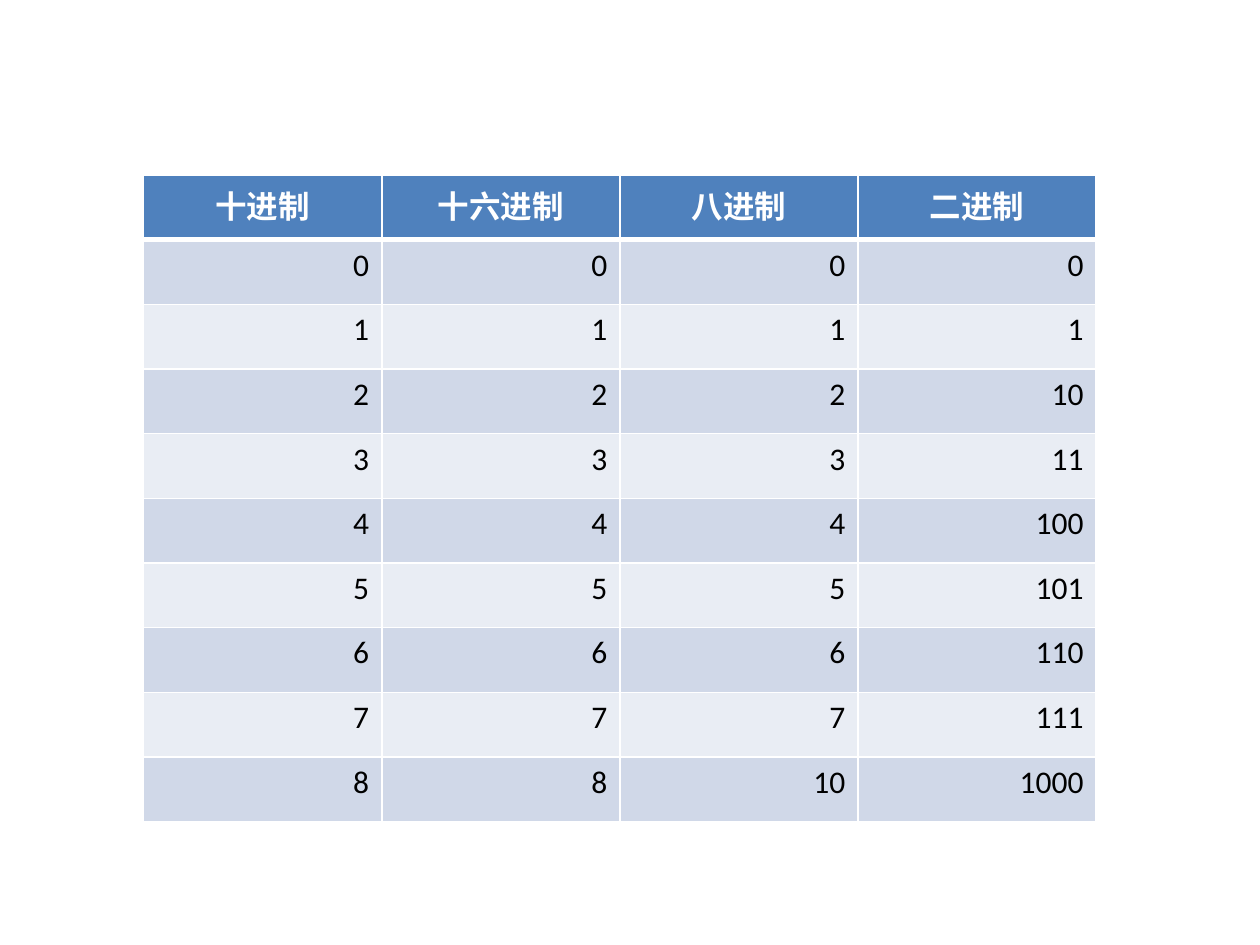
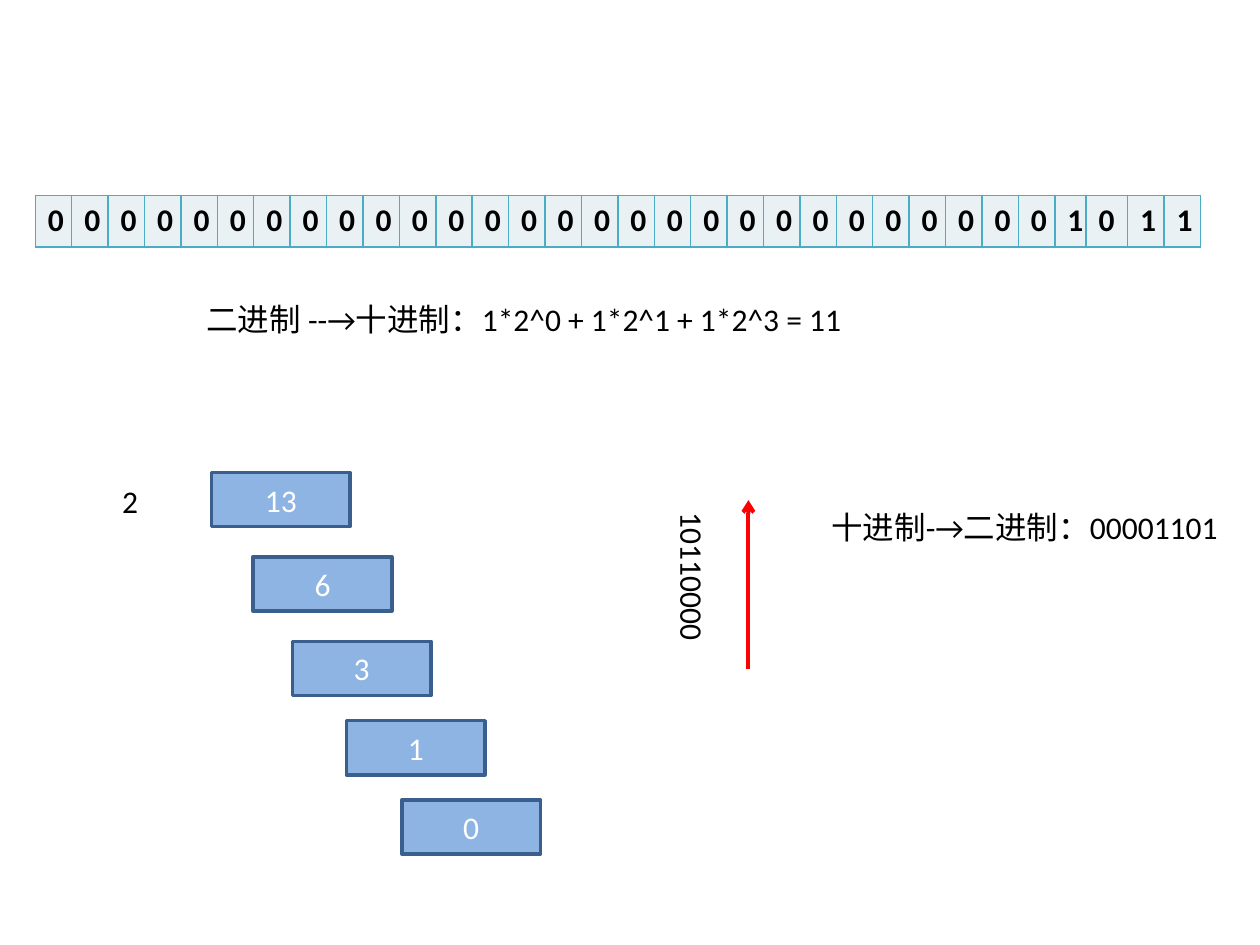
from dataclasses import dataclass

from lxml import etree
from pptx import Presentation
from pptx import util as u
from pptx.dml.color import RGBColor
from pptx.enum import shapes, text
from pptx.oxml import ns


@dataclass(frozen=True)
class Theme:
    """Colours and type shared by the slides."""
    font: str = "Calibri"
    size: int = 18
    ink: str = "000000"
    white: str = "FFFFFF"
    header: str = "4F81BD"
    bands: tuple = ("D0D8E8", "E9EDF4")
    bit_fill: str = "E9F1F5"
    bit_border: str = "4BACC6"
    quotient_fill: str = "8EB4E3"
    quotient_line: str = "3A5F8C"
    arrow: str = "FF0000"


THEME = Theme()
ALIGN = text.PP_ALIGN


def color(value):
    """Turn a hex string into a colour."""
    return RGBColor.from_string(value)


def write(frame, content, ink=THEME.ink, align=ALIGN.LEFT, bold=False):
    """Write one paragraph in the theme's type."""
    paragraph = frame.paragraphs[0]
    paragraph.text = content
    paragraph.alignment = align
    paragraph.font.name = THEME.font
    paragraph.font.size = u.Pt(THEME.size)
    paragraph.font.color.rgb = color(ink)
    paragraph.font.bold = bold


def style_cell(cell, fill, border, top=1, bottom=1):
    """Draw the four borders of a cell, then fill it."""
    properties = cell._tc.get_or_add_tcPr()
    for side, width in zip("LRTB", (1, 1, top, bottom)):
        line = etree.SubElement(properties, ns.qn(f"a:ln{side}"), w=str(u.Pt(width)))
        solid = etree.SubElement(line, ns.qn("a:solidFill"))
        etree.SubElement(solid, ns.qn("a:srgbClr"), val=border)
    cell.fill.solid()
    cell.fill.fore_color.rgb = color(fill)


def add_grid(slide, rows, columns, left, top, width, height):
    """Add a table with equal rows and columns and no banding."""
    table = slide.shapes.add_table(rows, columns, u.Inches(left), u.Inches(top),
                                   u.Inches(width), u.Inches(height)).table
    table.first_row = table.horz_banding = False
    for column in table.columns:
        column.width = u.Inches(width / columns)
    for row in table.rows:
        row.height = u.Inches(height / rows)
    return table


def add_label(slide, content, left, top, width, height, vertical=False):
    """Add a text box that grows with its text."""
    box = slide.shapes.add_textbox(u.Inches(left), u.Inches(top),
                                   u.Inches(width), u.Inches(height))
    box.text_frame.word_wrap = True
    box.text_frame.auto_size = text.MSO_AUTO_SIZE.SHAPE_TO_FIT_TEXT
    if vertical:
        box.element.txBody.bodyPr.set("vert", "eaVert")
    write(box.text_frame, content)


def add_number_table(slide, left, top, width, height):
    """List the numbers 0 to 8 in four bases."""
    headings = ("十进制", "十六进制", "八进制", "二进制")
    numbers = range(9)
    table = add_grid(slide, len(numbers) + 1, len(headings), left, top, width, height)
    table.first_row = True
    for column, heading in enumerate(headings):
        cell = table.cell(0, column)
        style_cell(cell, THEME.header, THEME.white, bottom=3)
        write(cell.text_frame, heading, THEME.white, ALIGN.CENTER, True)
    for number in numbers:
        for column, base in enumerate("dXob"):
            cell = table.cell(number + 1, column)
            style_cell(cell, THEME.bands[number % 2], THEME.white,
                       top=3 if number == 0 else 1)
            write(cell.text_frame, format(number, base), align=ALIGN.RIGHT)


def add_bit_row(slide, value, left, top, width, height):
    """Show a value as 32 bits."""
    bits = format(value, "032b")
    table = add_grid(slide, 1, len(bits), left, top, width, height)
    table.columns[28].width -= u.Inches(0.04)
    table.columns[29].width += u.Inches(0.04)
    for column, bit in enumerate(bits):
        cell = table.cell(0, column)
        style_cell(cell, THEME.bit_fill, THEME.bit_border)
        write(cell.text_frame, bit, bold=True)


def add_division_steps(slide, left, top):
    """Step down through the quotients of repeated division by two."""
    add_label(slide, "2", left, top + 0.03, 0.39, 0.4)
    offsets = ((0.81, 0), (1.14, 0.67), (1.45, 1.34), (1.88, 1.97), (2.32, 2.6))
    quotient = 13
    for across, down in offsets:
        box = slide.shapes.add_shape(
            shapes.MSO_SHAPE.RECTANGLE, u.Inches(left + across),
            u.Inches(top + down), u.Inches(1.1), u.Inches(0.43))
        box.shadow.inherit = False
        box.fill.solid()
        box.fill.fore_color.rgb = color(THEME.quotient_fill)
        box.line.color.rgb = color(THEME.quotient_line)
        box.line.width = u.Pt(2)
        box.text_frame.vertical_anchor = text.MSO_ANCHOR.MIDDLE
        write(box.text_frame, str(quotient), THEME.white, ALIGN.CENTER)
        quotient //= 2


def add_remainders(slide, left, top):
    """Show the remainders, the upward reading arrow and the result."""
    add_label(slide, "10110000", left, top, 0.5, 3.01, vertical=True)
    x = u.Inches(left + 0.74)
    arrow = slide.shapes.add_connector(shapes.MSO_CONNECTOR.STRAIGHT, x,
                                       u.Inches(top + 1.34), x, u.Inches(top))
    arrow.line.color.rgb = color(THEME.arrow)
    arrow.line.width = u.Pt(2.25)
    etree.SubElement(arrow.line._get_or_add_ln(), ns.qn("a:tailEnd"), type="arrow")
    etree.SubElement(arrow.element.spPr, ns.qn("a:effectLst"))
    add_label(slide, "十进制-→二进制：00001101", left + 1.3, top + 0.01, 3.7, 0.4)


def build_number_slide(slide):
    """Compose the table of number bases."""
    add_number_table(slide, 1.14, 1.39, 7.56, 5.13)


def build_conversion_slide(slide):
    """Compose the conversions between binary and decimal."""
    add_bit_row(slide, 11, 0.28, 1.55, 9.25, 0.41)
    add_label(slide, "二进制 --→十进制：1*2^0 + 1*2^1 + 1*2^3 = 11",
              1.54, 2.33, 5.59, 0.4)
    add_division_steps(slide, 0.87, 3.75)
    add_remainders(slide, 5.2, 3.97)


def main():
    """Build and save the presentation."""
    presentation = Presentation()
    presentation.slide_width = u.Inches(10)
    presentation.slide_height = u.Inches(7.5)
    blank = presentation.slide_layouts[6]
    for build in (build_number_slide, build_conversion_slide):
        build(presentation.slides.add_slide(blank))
    presentation.save("out.pptx")


if __name__ == "__main__":
    main()
